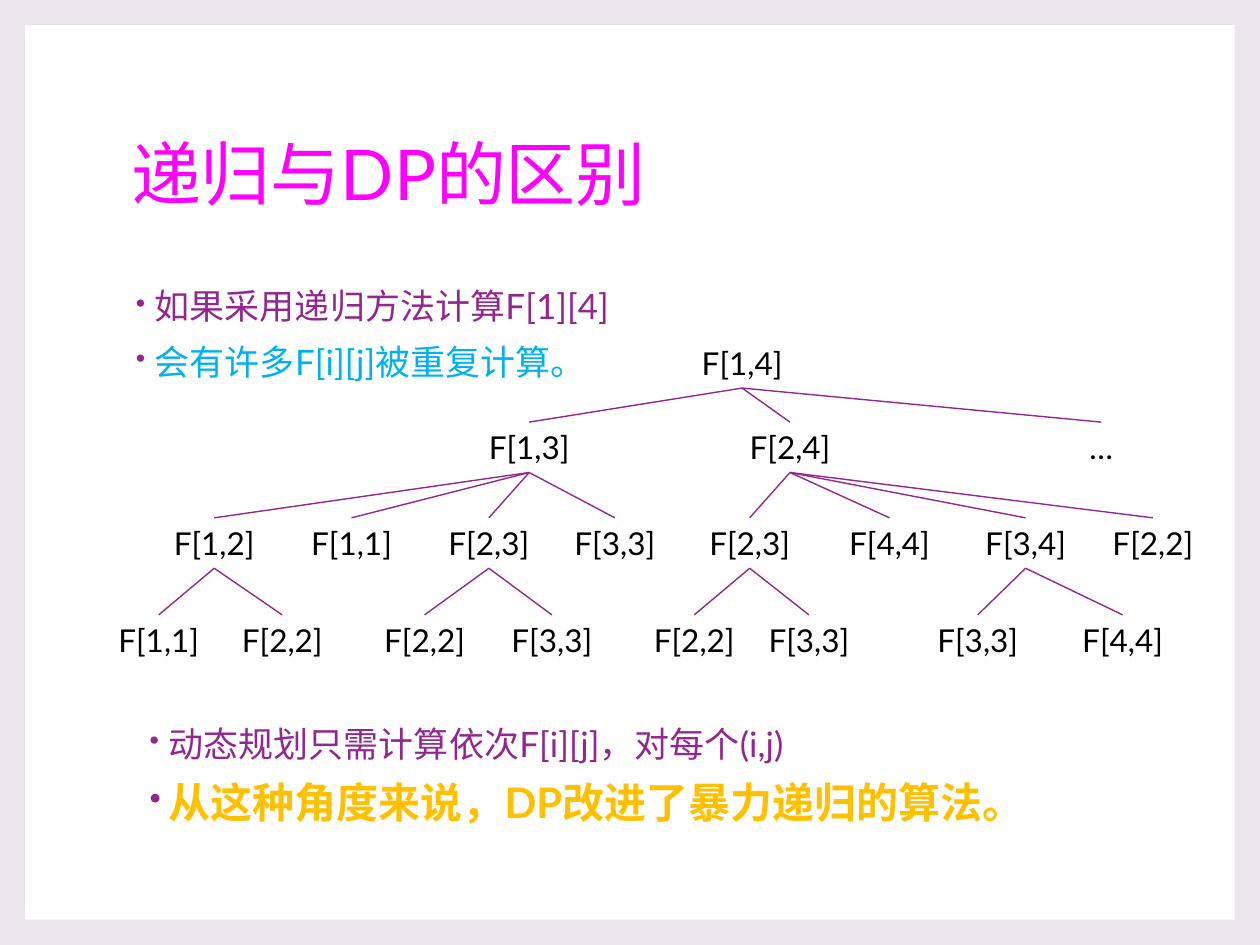
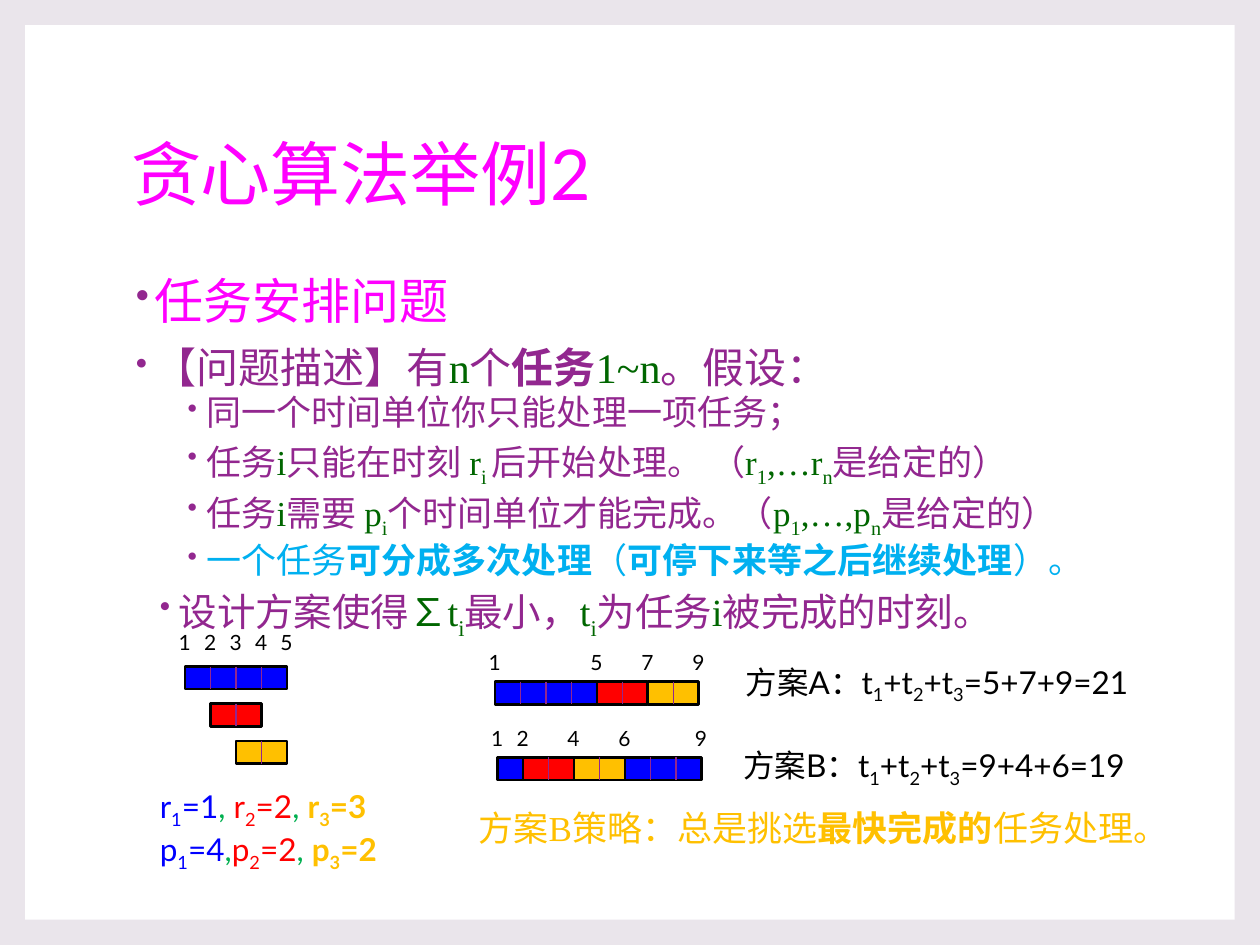
"""Two slides on dynamic programming and greedy scheduling, laid out on a grid of 100 columns by 75 rows."""
from dataclasses import dataclass
from typing import NamedTuple

from lxml import etree
from pptx import Presentation, util as u
from pptx.dml.color import RGBColor
from pptx.enum import shapes, text
from pptx.oxml.ns import qn

COLUMNS, ROWS = 100, 75
WIDTH, HEIGHT = u.Inches(10), u.Inches(7.5)
SANS, SERIF = "Lato", "Times New Roman"
BACKDROP, WHITE, BLACK = "EAE5EB", "FFFFFF", "000000"
PURPLE, MAGENTA, SKY = "92278F", "FF00FF", "00B0F0"
BLUE, RED, GOLD, GREEN, FOREST = "0000FF", "FF0000", "FFC000", "00B050", "006600"
TREE_ROWS = (26.8, 33.5, 41.1, 48.8)
NODE_WIDTH, NODE_HEIGHT = 12, 4
TIME_STEP, BAR_HEIGHT, TICK_SIZE = 2.02, 1.8, 3


class Frame(NamedTuple):
    column: float
    row: float
    columns: float
    rows: float


class Span(NamedTuple):
    """Text in one style; parts between underscores are subscripts."""
    text: str
    color: str = ""
    bold: bool = False


@dataclass(frozen=True)
class Para:
    spans: tuple
    size: float = 20
    color: str = PURPLE
    font: str = SANS
    level: int = 0
    indent: float = 0
    before: float = 0
    after: float = 0
    spacing: float = 1
    align: text.PP_ALIGN = text.PP_ALIGN.LEFT


@dataclass(frozen=True)
class Node:
    label: str
    center: float
    children: tuple = ()


class Task(NamedTuple):
    start: int
    end: int
    color: str


@dataclass(frozen=True)
class Schedule:
    column: float
    row: float
    tick_row: float
    ticks: tuple
    tasks: tuple
    row_step: float = 0


def across(columns: float) -> int:
    return round(WIDTH * columns / COLUMNS)


def down(rows: float) -> int:
    return round(HEIGHT * rows / ROWS)


def place(frame: Frame) -> tuple:
    return across(frame.column), down(frame.row), across(frame.columns), down(frame.rows)


def rgb(color: str) -> RGBColor:
    return RGBColor.from_string(color)


def style(font, para: Para, span: Span) -> None:
    font.name, font.size = para.font, u.Pt(para.size)
    font.color.rgb = rgb(span.color or para.color)
    font.bold = span.bold


def add_bullet(paragraph, para: Para) -> None:
    properties = paragraph._p.get_or_add_pPr()
    properties.set("marL", str(across(para.indent)))
    properties.set("indent", str(across(-1.5)))
    color = etree.SubElement(properties, qn("a:buClr"))
    etree.SubElement(color, qn("a:srgbClr"), val=PURPLE)
    etree.SubElement(properties, qn("a:buSzPct"), val="80000")
    etree.SubElement(properties, qn("a:buChar"), char="•")


def fill_para(paragraph, para: Para) -> None:
    paragraph.level, paragraph.alignment = para.level, para.align
    paragraph.line_spacing = para.spacing
    paragraph.space_before, paragraph.space_after = u.Pt(para.before), u.Pt(para.after)
    if para.indent:
        add_bullet(paragraph, para)
    style(paragraph.font, para, Span(""))
    for span in para.spans:
        for index, part in enumerate(span.text.split("_")):
            if part:
                run = paragraph.add_run()
                run.text = part
                style(run.font, para, span)
                if index % 2:
                    run.font._element.set("baseline", "-25000")


def fill_text(box, *paras: Para) -> None:
    frame = box.text_frame
    frame.word_wrap = True
    for index, para in enumerate(paras):
        fill_para(frame.add_paragraph() if index else frame.paragraphs[0], para)


def add_text(page, frame: Frame, *paras: Para) -> None:
    fill_text(page.shapes.add_textbox(*place(frame)), *paras)


def add_rect(page, frame: Frame, color: str, outline: str = ""):
    rect = page.shapes.add_shape(shapes.MSO_SHAPE.RECTANGLE, *place(frame))
    rect.shadow.inherit = False
    rect.fill.solid()
    rect.fill.fore_color.rgb = rgb(color)
    if outline:
        rect.line.color.rgb, rect.line.width = rgb(outline), u.Pt(1.5)
    else:
        rect.line.fill.background()
    return rect


def add_line(page, start: tuple, end: tuple) -> None:
    line = page.shapes.add_connector(
        shapes.MSO_CONNECTOR.STRAIGHT, across(start[0]), down(start[1]), across(end[0]), down(end[1]))
    line.line.color.rgb, line.line.width = rgb(PURPLE), u.Pt(0.79)
    etree.SubElement(line.element.spPr, qn("a:effectLst"))


def add_page(deck, heading: str):
    page = deck.slides.add_slide(deck.slide_layouts[5])
    page.background.fill.solid()
    page.background.fill.fore_color.rgb = rgb(BACKDROP)
    title = page.shapes.title
    title.element.addprevious(add_rect(page, Frame(2, 2, 96, 71), WHITE).element)
    title.left, title.top, title.width, title.height = place(Frame(9.4, 6.7, 81, 14.8))
    fill_text(title, Para((Span(heading),), 40, MAGENTA, spacing=0.9))
    title.text_frame.vertical_anchor = text.MSO_ANCHOR.MIDDLE
    return page


def bullet(*spans: Span, size: float = 20, font: str = SANS) -> Para:
    return Para(spans, size, font=font, indent=1.9, before=10, spacing=0.9)


def sub_bullet(*spans: Span, size: float = 20, level: int = 2, indent: float = 6) -> Para:
    return Para(spans, size, font=SERIF, level=level, indent=indent, before=1.5, after=3, spacing=0.9)


def draw_tree(page, node: Node, depth: int = 0) -> None:
    row = TREE_ROWS[depth]
    frame = Frame(node.center - NODE_WIDTH / 2, row, NODE_WIDTH, NODE_HEIGHT)
    add_text(page, frame, Para((Span(node.label),), 18, BLACK, align=text.PP_ALIGN.CENTER))
    for child in node.children:
        add_line(page, (node.center, row + NODE_HEIGHT), (child.center, TREE_ROWS[depth + 1]))
        draw_tree(page, child, depth + 1)


def draw_schedule(page, schedule: Schedule) -> None:
    def at(time: int) -> float:
        return schedule.column + (time - 1) * TIME_STEP

    for index, task in enumerate(schedule.tasks):
        row = schedule.row + index * schedule.row_step
        width = (task.end - task.start) * TIME_STEP
        add_rect(page, Frame(at(task.start), row, width, BAR_HEIGHT), task.color, BLACK)
        for time in range(task.start + 1, task.end):
            add_line(page, (at(time), row), (at(time), row + BAR_HEIGHT))
    for time in schedule.ticks:
        frame = Frame(at(time) - TICK_SIZE / 2, schedule.tick_row, TICK_SIZE, TICK_SIZE)
        add_text(page, frame, Para((Span(str(time)),), 12, BLACK))


TREE = Node("F[1,4]", 58.9, (
    Node("F[1,3]", 42, (
        Node("F[1,2]", 17, (Node("F[1,1]", 12.6), Node("F[2,2]", 22.4))),
        Node("F[1,1]", 27.9),
        Node("F[2,3]", 38.8, (Node("F[2,2]", 33.7), Node("F[3,3]", 43.8))),
        Node("F[3,3]", 48.8))),
    Node("F[2,4]", 62.7, (
        Node("F[2,3]", 59.5, (Node("F[2,2]", 55.1), Node("F[3,3]", 64.2))),
        Node("F[4,4]", 70.6),
        Node("F[3,4]", 81.4, (Node("F[3,3]", 77.6), Node("F[4,4]", 89.1))),
        Node("F[2,2]", 91.5))),
    Node("…", 87.4)))

SCHEDULES = (
    Schedule(14.7, 52.9, 49.5, (1, 2, 3, 4, 5),
             (Task(1, 5, BLUE), Task(2, 4, RED), Task(3, 5, GOLD)), 2.95),
    Schedule(39.3, 54.1, 51.1, (1, 5, 7, 9),
             (Task(1, 5, BLUE), Task(5, 7, RED), Task(7, 9, GOLD))),
    Schedule(39.5, 60.1, 57.1, (1, 2, 4, 6, 9),
             (Task(1, 2, BLUE), Task(2, 4, RED), Task(4, 6, GOLD), Task(6, 9, BLUE))))


def build_recursion_page(deck) -> None:
    page = add_page(deck, "递归与DP的区别")
    add_text(page, Frame(9.4, 22.5, 81, 15),
             bullet(Span("如果采用递归方法计算F[1][4]")),
             bullet(Span("会有许多F[i][j]被重复计算。", SKY)))
    draw_tree(page, TREE)
    add_text(page, Frame(10.5, 57.2, 81, 10.3),
             bullet(Span("动态规划只需计算依次F[i][j]，对每个(i,j)")),
             bullet(Span("从这种角度来说，DP改进了暴力递归的算法。", GOLD, True), size=24))


def values(name: str, *numbers: int) -> Para:
    spans = []
    for index, (number, color) in enumerate(zip(numbers, (BLUE, RED, GOLD)), 1):
        if index > 1:
            spans.append(Span("," if name == "p" and index == 2 else ", ", GREEN))
        spans.append(Span(f"{name}_{index}_={number}", color, color == GOLD))
    return Para(tuple(spans), 18)


def build_greedy_page(deck) -> None:
    page = add_page(deck, "贪心算法举例2")
    add_text(page, Frame(9.4, 21.5, 82, 28.9),
             bullet(Span("任务安排问题", MAGENTA), size=28, font=SERIF),
             bullet(Span("【问题描述】有"), Span("n", FOREST), Span("个"), Span("任务", bold=True),
                    Span("1~n", FOREST), Span("。假设："), size=24, font=SERIF),
             sub_bullet(Span("同一个时间单位你只能处理一项任务；")),
             sub_bullet(Span("任务"), Span("i", FOREST), Span("只能在时刻 "), Span("r_i _", FOREST),
                        Span("后开始处理。 （"), Span("r_1_,…r_n_", FOREST), Span("是给定的）")),
             sub_bullet(Span("任务"), Span("i", FOREST), Span("需要 "), Span("p_i_", FOREST),
                        Span("个时间单位才能完成。（"), Span("p_1_,…,p_n_", FOREST), Span("是给定的）")),
             sub_bullet(Span("一个任务", SKY), Span("可分成多次处理", SKY, True), Span("（", SKY),
                        Span("可停下来等之后继续处理", SKY, True), Span("）。", SKY)),
             sub_bullet(Span("设计方案使得"), Span("∑t_i_", FOREST), Span("最小，"), Span("t_i_", FOREST),
                        Span("为任务"), Span("i", FOREST), Span("被完成的时刻。"),
                        size=22, level=1, indent=3.8))
    for schedule in SCHEDULES:
        draw_schedule(page, schedule)
    add_text(page, Frame(11.7, 62, 23.6, 7.1), values("r", 1, 2, 3), values("p", 4, 2, 2))
    for column, row, plan, total in ((58.2, 52.1, "A", "5+7+9=21"), (58, 58.7, "B", "9+4+6=19")):
        formula = Span(f"方案{plan}：t_1_+t_2_+t_3_={total}")
        add_text(page, Frame(column, row, 36.4, 4), Para((formula,), 18, BLACK))
    strategy = (Span("方案B策略：总是挑选"), Span("最快完成的", bold=True), Span("任务处理。"))
    add_text(page, Frame(37, 63.5, 56.1, 4.4), Para(strategy, color=GOLD, font=SERIF))


def main() -> None:
    deck = Presentation()
    deck.slide_width, deck.slide_height = WIDTH, HEIGHT
    build_recursion_page(deck)
    build_greedy_page(deck)
    deck.save("out.pptx")


if __name__ == "__main__":
    main()
